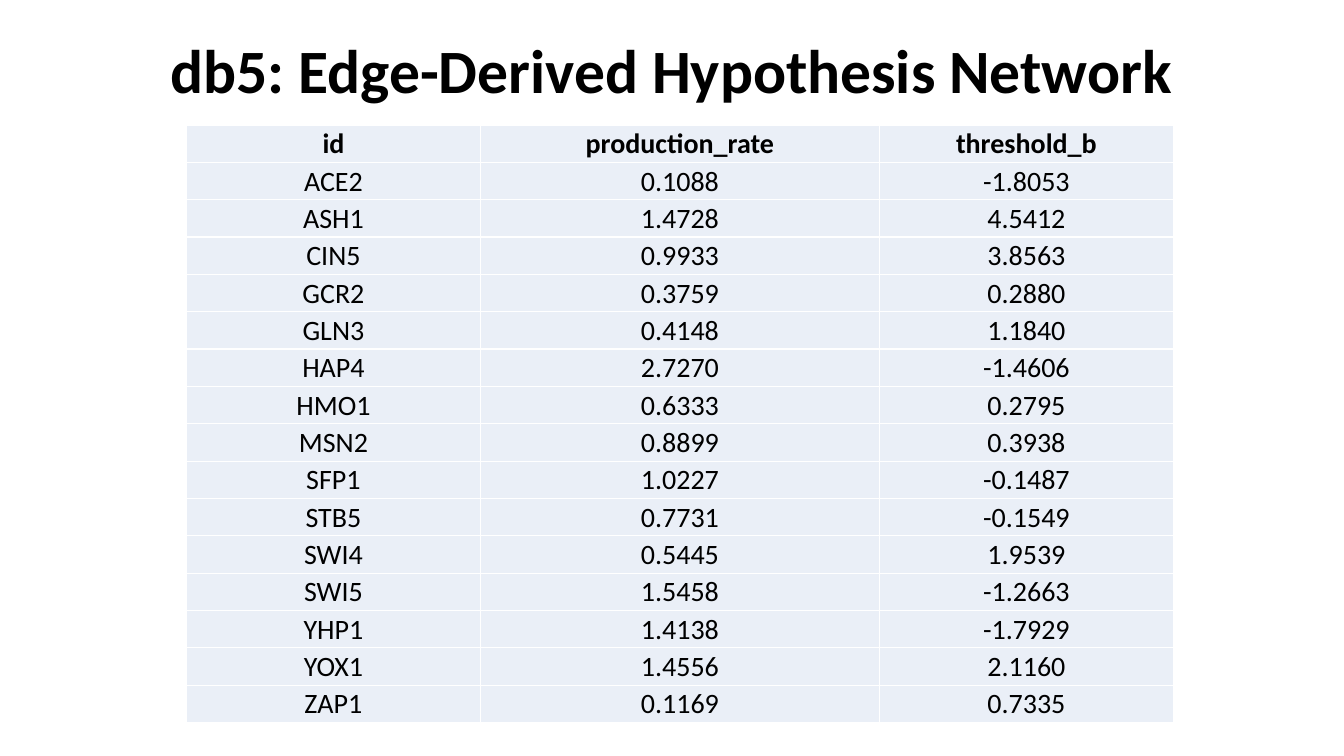
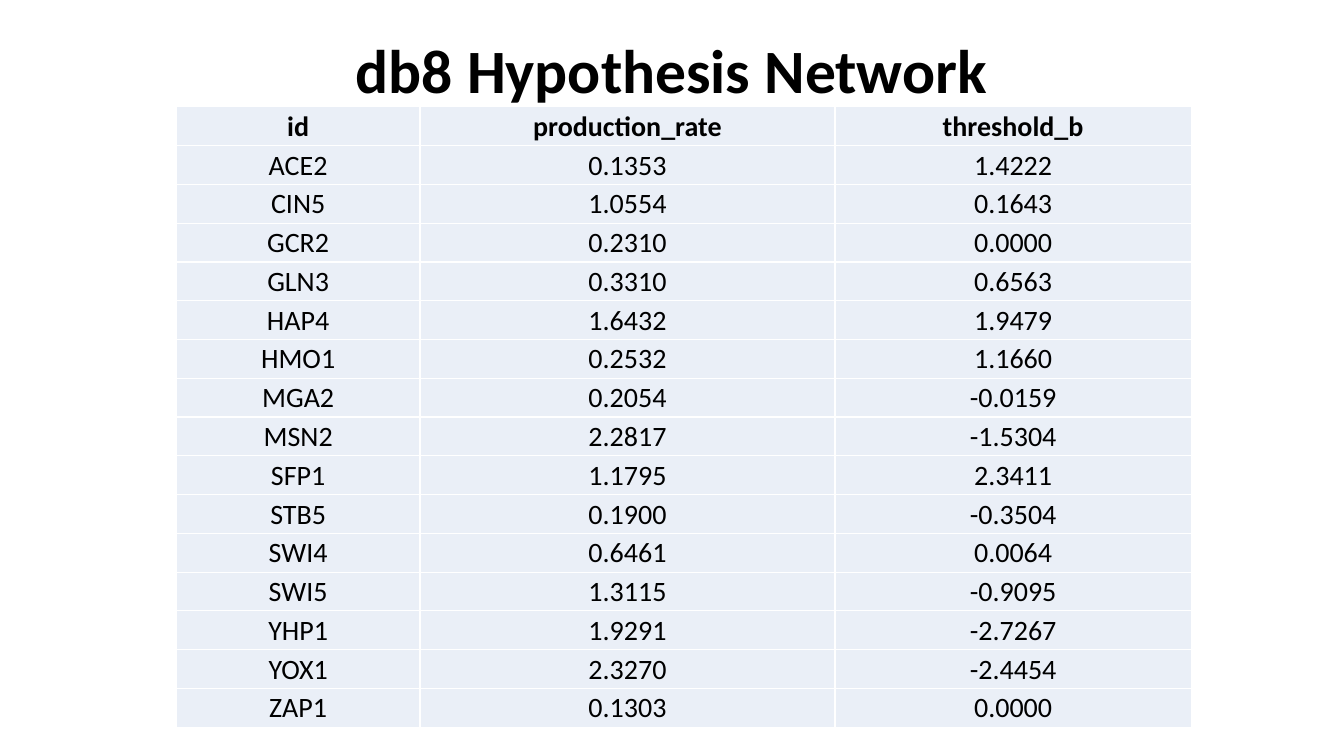
from dataclasses import dataclass

from lxml import etree
from pptx import Presentation
from pptx.dml.color import RGBColor
from pptx.enum import text
from pptx.oxml import ns
from pptx.util import Pt

HEADER = ("id", "production_rate", "threshold_b")

NETWORKS = [
    {
        "title": "db5: Edge-Derived Hypothesis Network",
        "left": 133.2, "top": 89.3, "row_height": 26.68,
        "widths": (210, 285, 210),
        "genes": [
            ("ACE2", "0.1088", "-1.8053"),
            ("ASH1", "1.4728", "4.5412"),
            ("CIN5", "0.9933", "3.8563"),
            ("GCR2", "0.3759", "0.2880"),
            ("GLN3", "0.4148", "1.1840"),
            ("HAP4", "2.7270", "-1.4606"),
            ("HMO1", "0.6333", "0.2795"),
            ("MSN2", "0.8899", "0.3938"),
            ("SFP1", "1.0227", "-0.1487"),
            ("STB5", "0.7731", "-0.1549"),
            ("SWI4", "0.5445", "1.9539"),
            ("SWI5", "1.5458", "-1.2663"),
            ("YHP1", "1.4138", "-1.7929"),
            ("YOX1", "1.4556", "2.1160"),
            ("ZAP1", "0.1169", "0.7335"),
        ],
    },
    {
        "title": "db8 Hypothesis Network",
        "left": 126, "top": 76.3, "row_height": 27.72,
        "widths": (174, 296.5, 254.5),
        "genes": [
            ("ACE2", "0.1353", "1.4222"),
            ("CIN5", "1.0554", "0.1643"),
            ("GCR2", "0.2310", "0.0000"),
            ("GLN3", "0.3310", "0.6563"),
            ("HAP4", "1.6432", "1.9479"),
            ("HMO1", "0.2532", "1.1660"),
            ("MGA2", "0.2054", "-0.0159"),
            ("MSN2", "2.2817", "-1.5304"),
            ("SFP1", "1.1795", "2.3411"),
            ("STB5", "0.1900", "-0.3504"),
            ("SWI4", "0.6461", "0.0064"),
            ("SWI5", "1.3115", "-0.9095"),
            ("YHP1", "1.9291", "-2.7267"),
            ("YOX1", "2.3270", "-2.4454"),
            ("ZAP1", "0.1303", "0.0000"),
        ],
    },
]


@dataclass(frozen=True)
class Theme:
    font: str = "Calibri"
    ink: str = "000000"
    cell: str = "EAEFF7"
    border: str = "FFFFFF"
    border_width: float = 1
    title_size: float = 44
    table_size: float = 20
    cell_inset: float = 0.72


THEME = Theme()


def write(tf, content, size, bold=False, spacing=None):
    p = tf.paragraphs[0]
    p.alignment = text.PP_ALIGN.CENTER
    p.line_spacing = spacing
    r = p.add_run()
    r.text = content
    r.font.name = THEME.font
    r.font.size = Pt(size)
    r.font.bold = bold
    r.font.color.rgb = RGBColor.from_string(THEME.ink)


def add_borders(cell):
    tc_pr = cell._tc.get_or_add_tcPr()
    for side in ("lnL", "lnR", "lnT", "lnB"):
        ln = etree.SubElement(tc_pr, ns.qn(f"a:{side}"), w=str(Pt(THEME.border_width)))
        fill = etree.SubElement(ln, ns.qn("a:solidFill"))
        etree.SubElement(fill, ns.qn("a:srgbClr"), val=THEME.border)


def style_cell(cell):
    add_borders(cell)
    cell.fill.solid()
    cell.fill.fore_color.rgb = RGBColor.from_string(THEME.cell)
    cell.vertical_anchor = text.MSO_ANCHOR.MIDDLE
    cell.margin_left = cell.margin_right = cell.margin_top = Pt(THEME.cell_inset)
    cell.margin_bottom = 0


def add_gene_table(s, network):
    rows = [HEADER, *network["genes"]]
    widths, height = network["widths"], network["row_height"]
    table = s.shapes.add_table(
        len(rows), len(HEADER), Pt(network["left"]), Pt(network["top"]),
        Pt(sum(widths)), Pt(height * len(rows))).table
    table.horz_banding = False
    for column, width in zip(table.columns, widths):
        column.width = Pt(width)
    for i, values in enumerate(rows):
        table.rows[i].height = Pt(height)
        for j, value in enumerate(values):
            cell = table.cell(i, j)
            style_cell(cell)
            write(cell.text_frame, value, THEME.table_size, bold=i == 0)


def title_layout(prs):
    layout = prs.slide_layouts.get_by_name("Title Only")
    title = layout.placeholders[0]
    title.left, title.top, title.width, title.height = Pt(66), 0, Pt(828), Pt(104.4)
    title.text_frame.vertical_anchor = text.MSO_ANCHOR.MIDDLE
    return layout


def main():
    prs = Presentation()
    prs.slide_width, prs.slide_height = Pt(960), Pt(540)
    layout = title_layout(prs)
    for network in NETWORKS:
        s = prs.slides.add_slide(layout)
        write(s.shapes.title.text_frame, network["title"], THEME.title_size,
              bold=True, spacing=0.9)
        add_gene_table(s, network)
    prs.save("out.pptx")


if __name__ == "__main__":
    main()
